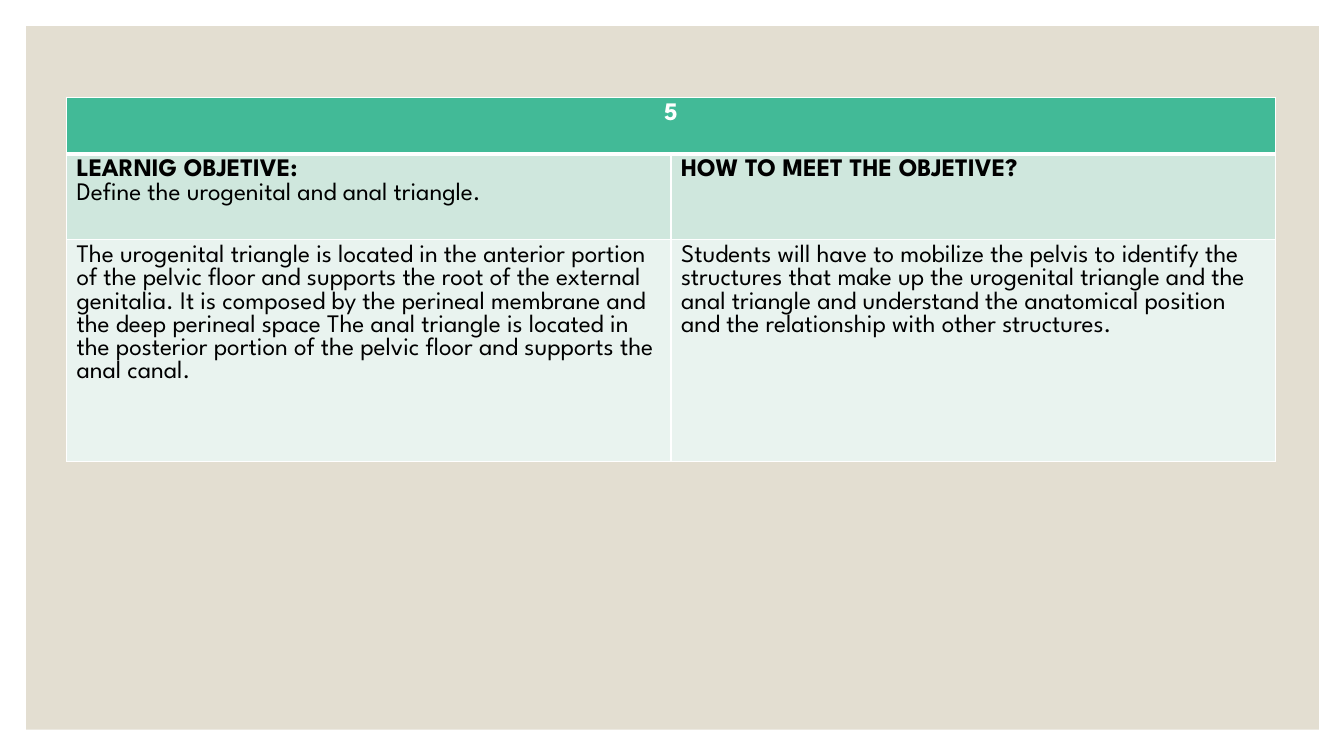
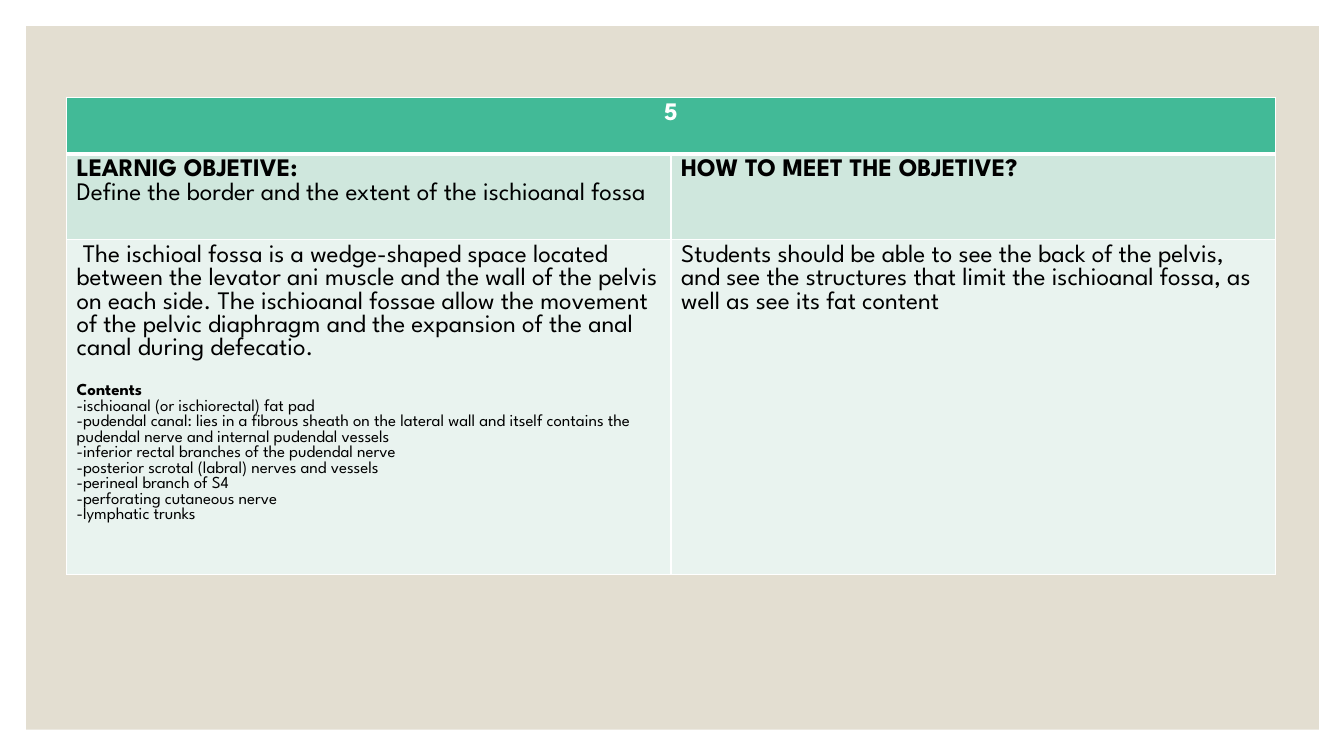
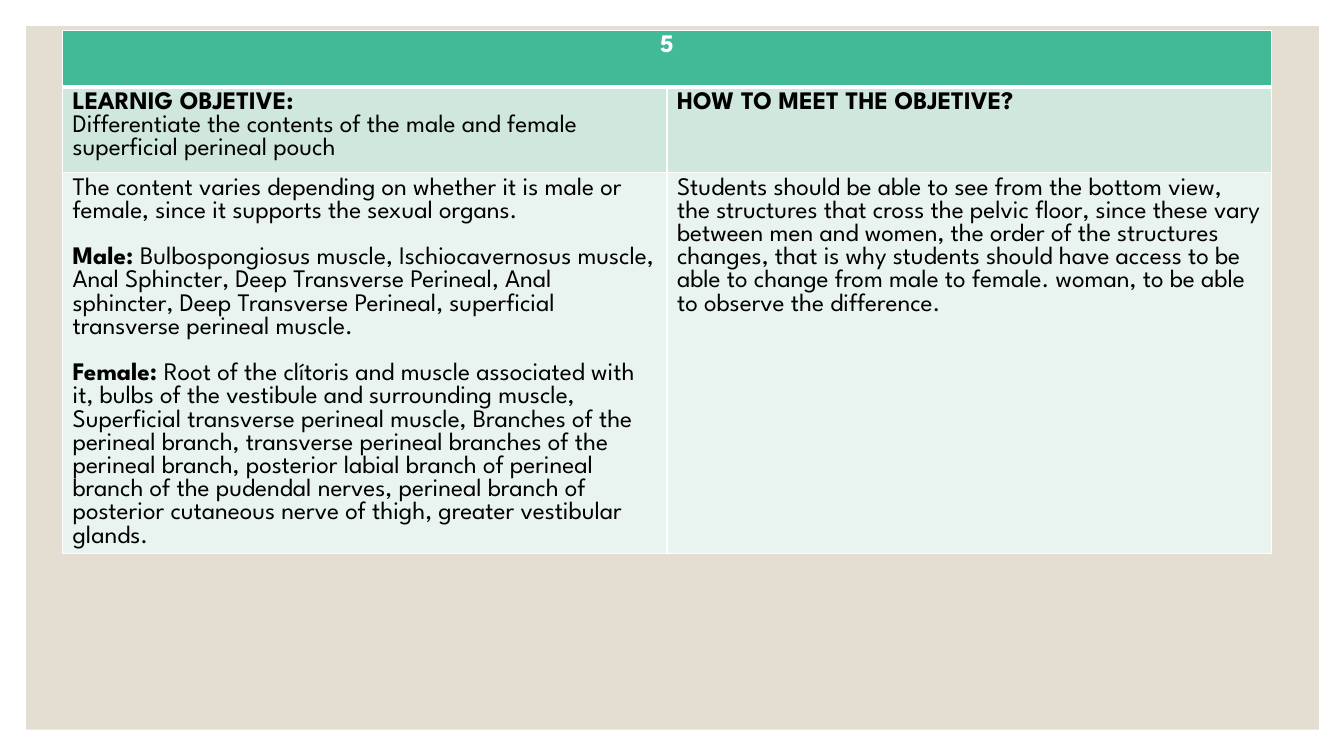
from dataclasses import dataclass

from lxml import etree
from pptx import Presentation
from pptx.dml.color import RGBColor
from pptx.enum.shapes import MSO_SHAPE
from pptx.enum.text import PP_ALIGN
from pptx.oxml.ns import qn
from pptx.util import Inches, Pt

RECTANGLE = MSO_SHAPE.RECTANGLE
CENTER, LEFT = PP_ALIGN.CENTER, PP_ALIGN.LEFT

FONT = "League Spartan"
WHITE, BLACK = "FFFFFF", "000000"
PANEL, HEADER, OBJECTIVE, DETAIL = "E3DED1", "42BA97", "CFE7DD", "E9F3EF"
PANEL_BOX = (0.26, 0.26, 12.82, 6.98)
HEADER_HEIGHT, OBJECTIVE_HEIGHT = 0.56, 0.85
TABLE_WIDTH = 11.99
TEXT_SIZE, SMALL_SIZE = 18, 12
SECTION_GAP = 16.56


@dataclass
class Para:
    """A paragraph with an optional bold lead, a size and a gap above it."""
    text: str = ""
    lead: str = ""
    size: float = TEXT_SIZE
    gap: float = 0


def rgb(color):
    """Turn a hex string into a colour."""
    return RGBColor.from_string(color)


def add_panel(slide, box):
    """Draw the beige panel that leaves a white frame around the slide."""
    panel = slide.shapes.add_shape(RECTANGLE, *map(Inches, box))
    panel.shadow.inherit = False
    panel.fill.solid()
    panel.fill.fore_color.rgb = rgb(PANEL)
    panel.line.fill.background()


def set_borders(cell, top=1, bottom=1):
    """Give a cell white borders with the given top and bottom widths."""
    properties = cell._tc.get_or_add_tcPr()
    sides = (("a:lnL", 1), ("a:lnR", 1), ("a:lnT", top), ("a:lnB", bottom))
    for position, (tag, width) in enumerate(sides):
        border = etree.Element(qn(tag), w=str(Pt(width)))
        fill = etree.SubElement(border, qn("a:solidFill"))
        etree.SubElement(fill, qn("a:srgbClr"), val=WHITE)
        properties.insert(position, border)


def write_cell(cell, paras, color, align):
    """Write the paragraphs of a cell."""
    frame = cell.text_frame
    frame.text = "\n".join(para.lead + para.text for para in paras)
    for paragraph, para in zip(frame.paragraphs, paras):
        paragraph.alignment = align
        paragraph.space_before = Pt(para.gap)
        if para.lead and para.text:
            paragraph.text = para.lead
            paragraph.add_run().text = para.text
        for position, run in enumerate(paragraph.runs):
            run.font.name = FONT
            run.font.size = Pt(para.size)
            run.font.bold = bool(para.lead) and position == 0
            run.font.color.rgb = rgb(color)


def add_objective_table(slide, left, top, detail_height, objective, answer, method):
    """Place a table with a number, a learning objective and how to meet it."""
    heights = (HEADER_HEIGHT, OBJECTIVE_HEIGHT, detail_height)
    frame = slide.shapes.add_table(
        3, 2, Inches(left), Inches(top), Inches(TABLE_WIDTH), Inches(sum(heights)))
    table = frame.table
    table.first_row = False
    table.horz_banding = False
    for row, height in zip(table.rows, heights):
        row.height = Inches(height)
    table.cell(0, 0).merge(table.cell(0, 1))

    rows = (
        (HEADER, WHITE, CENTER, 1, 3, ([Para(lead="5")], [])),
        (OBJECTIVE, BLACK, LEFT, 3, 1,
         ([Para(lead="LEARNIG OBJETIVE:"), Para(objective)],
          [Para(lead="HOW TO MEET THE OBJETIVE?")])),
        (DETAIL, BLACK, LEFT, 1, 1, (answer, [Para(method)])),
    )
    for row, (fill, color, align, top_line, bottom_line, contents) in zip(table.rows, rows):
        for cell, paras in zip(row.cells, contents):
            cell.fill.solid()
            cell.fill.fore_color.rgb = rgb(fill)
            set_borders(cell, top_line, bottom_line)
            if paras:
                write_cell(cell, paras, color, align)


FOSSA_CONTENTS = (
    "-ischioanal (or ischiorectal) fat pad",
    "-pudendal canal: lies in a fibrous sheath on the lateral wall and itself "
    "contains the pudendal nerve and internal pudendal vessels",
    "-inferior rectal branches of the pudendal nerve",
    "-posterior scrotal (labral) nerves and vessels",
    "-perineal branch of S4",
    "-perforating cutaneous nerve",
    "-lymphatic trunks",
)

OBJECTIVES = (
    dict(
        left=0.66, top=0.97, detail_height=2.2,
        objective="Define the urogenital and anal triangle.",
        answer=[Para(
            "The urogenital triangle is located in the anterior portion of the pelvic "
            "floor and supports the root of the external genitalia. It is composed by "
            "the perineal membrane and the deep perineal space The anal triangle is "
            "located in the posterior portion of the pelvic floor and supports the "
            "anal canal.")],
        method="Students will have to mobilize the pelvis to identify the structures "
               "that make up the urogenital triangle and the anal triangle and "
               "understand the anatomical position and the relationship with other "
               "structures.",
    ),
    dict(
        left=0.66, top=0.97, detail_height=3.32,
        objective="Define the border and the extent of the ischioanal fossa",
        answer=[
            Para(" The ischioal fossa is a wedge-shaped space located between the "
                 "levator ani muscle and the wall of the pelvis on each side. The "
                 "ischioanal fossae allow the movement of the pelvic diaphragm and the "
                 "expansion of the anal canal during defecatio."),
            Para(lead="Contents", size=SMALL_SIZE, gap=SECTION_GAP),
            *(Para(line, size=SMALL_SIZE) for line in FOSSA_CONTENTS),
        ],
        method="Students should be able to see the back of the pelvis, and see the "
               "structures that limit the ischioanal fossa, as well as see its fat "
               "content",
    ),
    dict(
        left=0.62, top=0.3, detail_height=3.78,
        objective="Differentiate the contents of the male and female superficial "
                  "perineal pouch",
        answer=[
            Para("The content varies depending on whether it is male or female, since "
                 "it supports the sexual organs."),
            Para("Bulbospongiosus muscle, Ischiocavernosus muscle, Anal Sphincter, Deep "
                 "Transverse Perineal, Anal sphincter, Deep Transverse Perineal, "
                 "superficial transverse perineal muscle.",
                 lead="Male: ", gap=SECTION_GAP),
            Para("Root of the clítoris and muscle associated with it, bulbs of the "
                 "vestibule and surrounding muscle, Superficial transverse perineal "
                 "muscle, Branches of the perineal branch, transverse perineal branches "
                 "of the perineal branch, posterior labial branch of perineal branch of "
                 "the pudendal nerves, perineal branch of posterior cutaneous nerve of "
                 "thigh, greater vestibular glands.",
                 lead="Female: ", gap=SECTION_GAP),
        ],
        method="Students should be able to see from the bottom view, the structures "
               "that cross the pelvic floor, since these vary between men and women, "
               "the order of the structures changes, that is why students should have "
               "access to be able to change from male to female. woman, to be able to "
               "observe the difference.",
    ),
)


def main():
    """Build one slide per learning objective."""
    deck = Presentation()
    deck.slide_width, deck.slide_height = Inches(13.33), Inches(7.5)
    for objective in OBJECTIVES:
        slide = deck.slides.add_slide(deck.slide_layouts[6])
        add_panel(slide, PANEL_BOX)
        add_objective_table(slide, **objective)
    deck.save("out.pptx")


if __name__ == "__main__":
    main()
